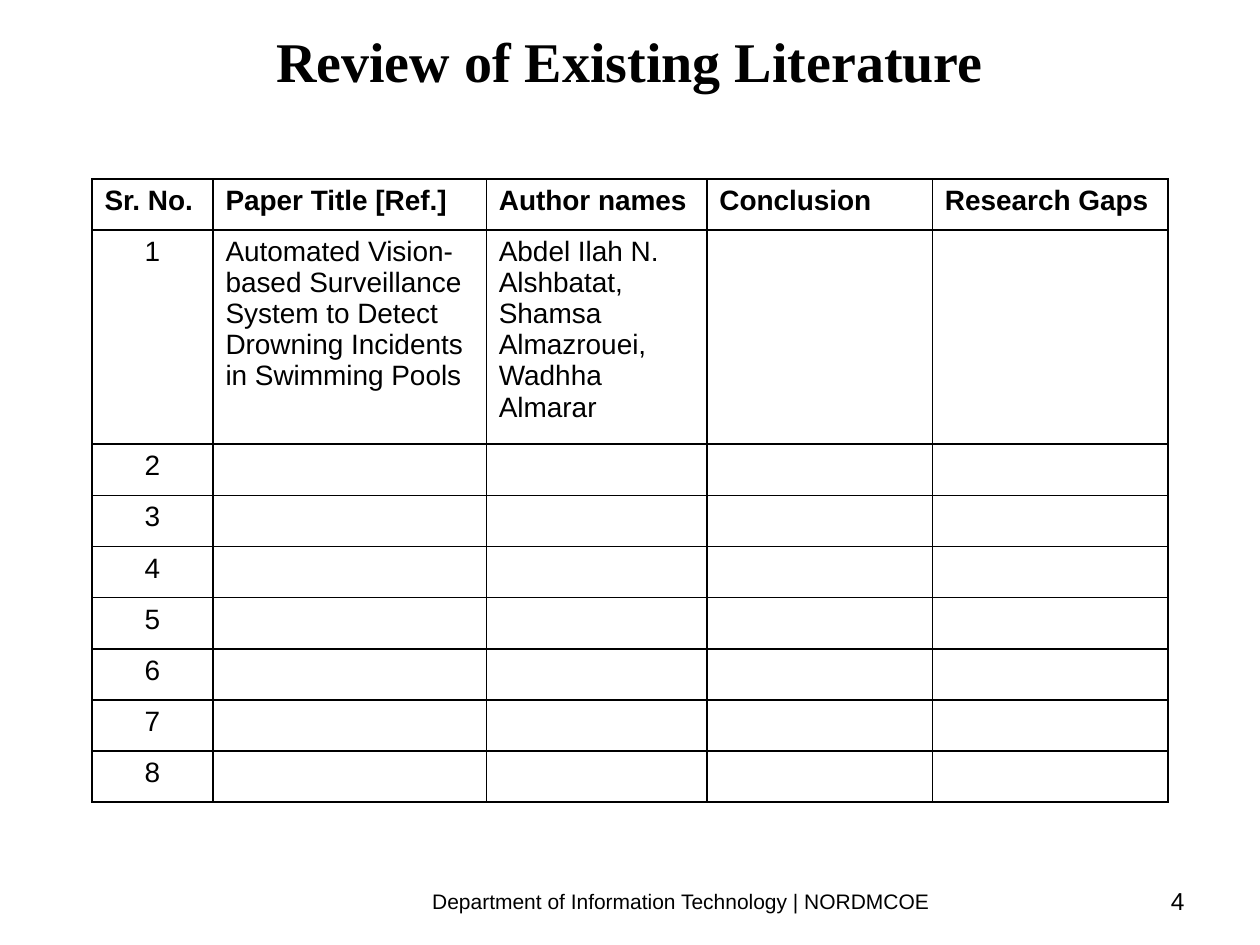
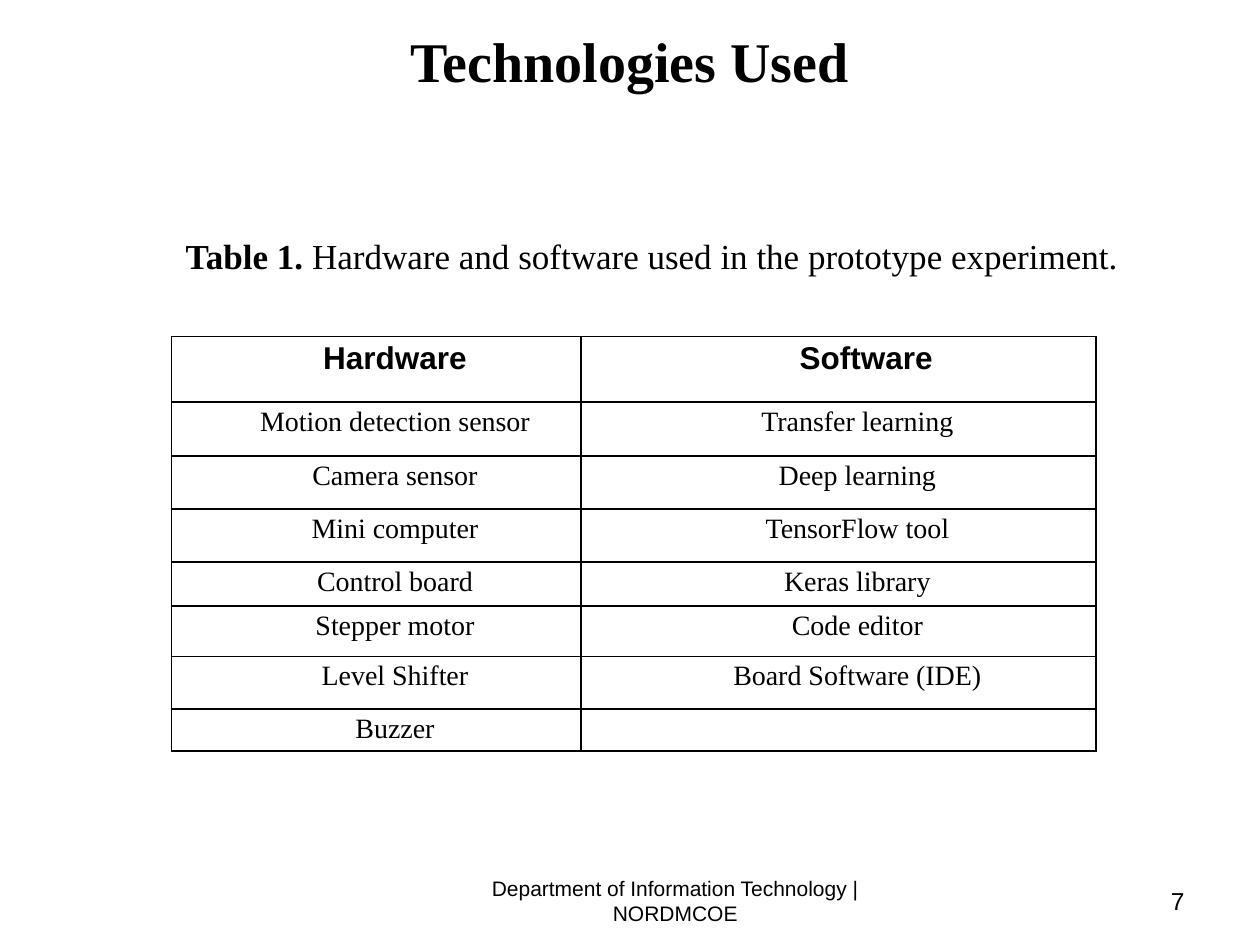
import pptx
import pptx.dml.color
import pptx.enum.text
import pptx.oxml
import pptx.oxml.ns
import pptx.util

COLOURS = {"ink": "000000", "paper": "FFFFFF"}
SERIF, SANS = "Times New Roman", "Arial"
ALIGN = pptx.enum.text.PP_ALIGN
ANCHOR = pptx.enum.text.MSO_ANCHOR

deck = pptx.Presentation()
deck.slide_width = pptx.util.Inches(10)
deck.slide_height = pptx.util.Inches(7.5)
# The slide is a grid of 100 columns by 75 rows of square units.
UNIT = deck.slide_width // 100


def write(frame, text, lead="", font=SANS, size=16, bold=False,
          align=ALIGN.LEFT, left=0, first=0, leading=None, after=None):
    """Fill a text frame, one paragraph a line; lead is a bold opening run."""
    frame.word_wrap = True
    for number, line in enumerate(text.split("\n")):
        paragraph = frame.add_paragraph() if number else frame.paragraphs[0]
        paragraph.alignment = align
        paragraph.line_spacing = leading
        if after is not None:
            paragraph.space_after = pptx.util.Pt(after)
        properties = paragraph._p.get_or_add_pPr()
        properties.set("marL", str(int(left * UNIT)))
        properties.set("indent", str(int(first * UNIT)))
        for words, heavy in ((lead, True), (line, bold)):
            if words:
                run = paragraph.add_run()
                run.text = words
                run.font.name = font
                run.font.size = pptx.util.Pt(size)
                run.font.bold = heavy
                run.font.color.rgb = pptx.dml.color.RGBColor.from_string(COLOURS["ink"])


def ruled_table(slide, left, top, columns, rows, insets):
    """Add an empty white table with thin black borders; sizes in grid units."""
    table = slide.shapes.add_table(
        len(rows), len(columns), int(left * UNIT), int(top * UNIT),
        int(sum(columns) * UNIT), int(sum(rows) * UNIT)).table
    table.first_row = table.horz_banding = False
    for column, width in zip(table.columns, columns):
        column.width = int(width * UNIT)
    for row, height in zip(table.rows, rows):
        row.height = int(height * UNIT)
    for cell in table.iter_cells():
        (cell.margin_left, cell.margin_top,
         cell.margin_right, cell.margin_bottom) = [int(i * UNIT) for i in insets]
        for side in ("lnL", "lnR", "lnT", "lnB"):
            cell._tc.get_or_add_tcPr().append(pptx.oxml.parse_xml(
                f'<a:{side} {pptx.oxml.ns.nsdecls("a")} w="12700"><a:solidFill>'
                f'<a:srgbClr val="{COLOURS["ink"]}"/></a:solidFill></a:{side}>'))
        cell.fill.solid()
        cell.fill.fore_color.rgb = pptx.dml.color.RGBColor.from_string(COLOURS["paper"])
    return table


# What both slides share: title, department footer and page number
pages = []
for heading, page_number, footer_width in (
        ("Review of Existing Literature", "4", 41.9),
        ("Technologies Used", "7", 41)):
    slide = deck.slides.add_slide(deck.slide_layouts[6])
    pages.append(slide)
    for text, box, anchor, style in (
            (heading, (5, 1.3, 90, 7), ANCHOR.MIDDLE,
             dict(font=SERIF, size=32, bold=True, align=ALIGN.CENTER)),
            (page_number, (71.7, 69.8, 23.3, 5.2), ANCHOR.TOP,
             dict(size=14, align=ALIGN.RIGHT)),
            ("Department of Information Technology | NORDMCOE",
             (33.1, 69.5, footer_width, 4), ANCHOR.MIDDLE,
             dict(size=12, align=ALIGN.CENTER))):
        frame = slide.shapes.add_textbox(*[int(v * UNIT) for v in box]).text_frame
        frame.vertical_anchor = anchor
        write(frame, text, **style)
literature_slide, technology_slide = pages

# Literature review: one detailed paper, then numbered rows still to fill
PAPERS = 8
paper_row, plain_row = 15.8, 4.06
literature = ruled_table(
    literature_slide, 7.3, 14.2, (9.6, 21.7, 17.5, 17.9, 18.7),
    [plain_row, paper_row] + [plain_row] * (PAPERS - 1), (1, 0.5, 1, 0.5))
for column, label in enumerate(
        ("Sr. No.", "Paper Title [Ref.]", "Author names", "Conclusion", "Research Gaps")):
    write(literature.cell(0, column).text_frame, label, bold=True)
for serial in range(1, PAPERS + 1):
    write(literature.cell(serial, 0).text_frame, str(serial), align=ALIGN.CENTER)
write(literature.cell(1, 1).text_frame,
      "Automated Vision-based Surveillance System to Detect Drowning Incidents"
      " in Swimming Pools")
write(literature.cell(1, 2).text_frame,
      "Abdel Ilah N. Alshbatat,\nShamsa Almazrouei,\nWadhha Almarar")

# Technologies: hardware beside software
tools = (
    ("Hardware", "Software"),
    ("Motion detection sensor", "Transfer learning"),
    ("Camera sensor", "Deep learning"),
    ("Mini computer", "TensorFlow tool"),
    ("Control board", "Keras library"),
    ("Stepper motor", "Code editor"),
    ("Level Shifter", "Board Software (IDE)"),
    ("Buzzer", ""),
)
technology = ruled_table(
    technology_slide, 13.6, 26.7, (32.5, 40.9),
    (5.2, 4.3, 4.2, 4.2, 3.5, 4, 4.2, 3.3), (0, 0.2, 0.8, 0))
for row, pair in enumerate(tools):
    look = dict(font=SERIF) if row else dict(size=18, bold=True)
    for column, tool in enumerate(pair):
        software_heading = row == 0 and column == 1
        write(technology.cell(row, column).text_frame, tool, align=ALIGN.CENTER,
              left=2.2 if software_heading else 0.8, first=3,
              leading=1.07, after=9.4, **look)

caption = technology_slide.shapes.add_textbox(
    *[int(v * UNIT) for v in (5.5, 18.1, 89.5, 4.4)]).text_frame
caption.vertical_anchor = ANCHOR.MIDDLE
write(caption, "Hardware and software used in the prototype experiment.",
      lead="Table 1. ", font=SERIF, size=20, align=ALIGN.CENTER, first=3)

deck.save("out.pptx")
